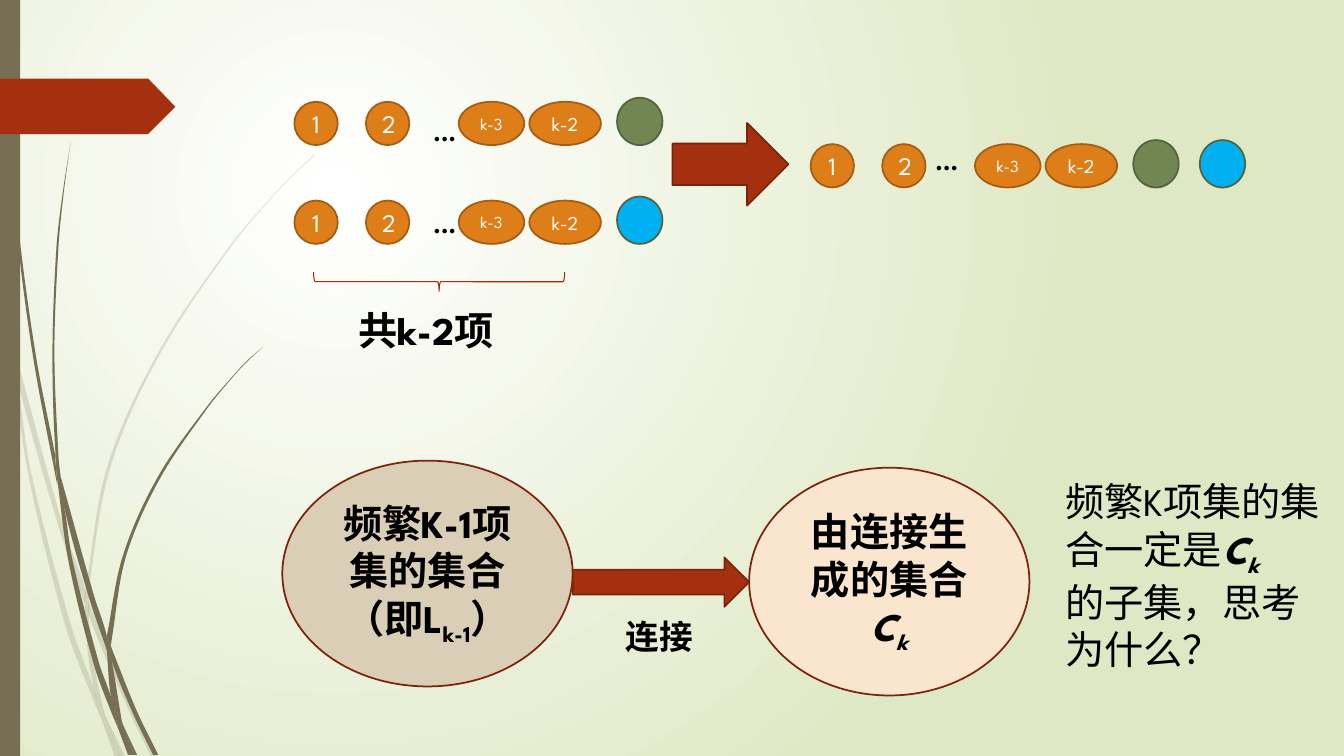
from math import atan2, degrees, hypot

from lxml import etree
from pptx import Presentation
from pptx.dml.color import RGBColor
from pptx.enum.shapes import MSO_SHAPE as SHAPE
from pptx.enum.text import MSO_ANCHOR as ANCHOR, MSO_AUTO_SIZE as AUTO, PP_ALIGN as ALIGN
from pptx.oxml.ns import qn
from pptx.util import Inches, Pt

FONT = "League Spartan"
COLORS = {
    "white": "FFFFFF", "black": "000000", "mist": "DFE8C4", "olive": "766F54",
    "rust": "A53010", "rust_line": "7A240C", "brace": "9E2E0F",
    "orange": "DE7E18", "orange_line": "A45D12",
    "green": "728653", "green_line": "54633D", "blue": "00B0F0",
    "peach": "FAE5CF", "tan": "DBCEB7",
}

# Closed outlines of the grass blades, in inches.
PALE_GRASS = [
    [(.11, 3.5), (.09, 3.22), (0, 2.82), (0, 2.99), (.1, 3.44)],
    [(.58, 5.22), (.84, 5.99), (.85, 5.86), (.62, 5.2), (.14, 3.45), (.17, 3.76)],
    [(.92, 6.07), (.88, 5.96), (.88, 6.1), (1.23, 6.94), (1.5, 7.51), (1.55, 7.51),
     (1.27, 6.92)],
    [(1.19, 7.51), (1.24, 7.51), (1.05, 7.11)],
    [(.93, 6.83), (.7, 6.19), (.31, 4.69), (.17, 3.76), (.11, 3.5), (.28, 4.7),
     (.65, 6.21), (.92, 6.93), (1.01, 7.14), (.99, 7.07)],
    [(.84, 5.99), (.87, 6.46), (.93, 6.83), (.96, 6.92), (1.05, 7.11), (1.03, 7.06),
     (.91, 6.46), (.88, 6.1), (.88, 6.08)],
    [(.88, 5.84), (1.1, 4.62), (1.6, 3.49), (2.29, 2.45), (2.68, 1.98), (2.9, 1.75),
     (3.12, 1.54), (3.12, 1.53), (2.89, 1.75), (2.68, 1.97), (2.28, 2.44),
     (1.58, 3.48), (1.07, 4.61), (.85, 5.84), (.85, 5.86), (.88, 5.96)],
    [(1.01, 7.14), (1.14, 7.51), (1.19, 7.51)],
    [(.88, 6.08), (.88, 6.1), (.88, 5.96), (.85, 5.86), (.84, 5.99)],
    [(.96, 6.92), (.93, 6.83), (.99, 7.07), (1.01, 7.14), (1.19, 7.51), (1.05, 7.11)],
]
DARK_GRASS = [
    [(.07, 1.1), (.17, 2.33), (.33, 3.55), (.56, 4.77), (.57, 4.81), (.55, 4.57),
     (.55, 4.53), (.36, 3.55), (.19, 2.32), (.08, 1.09), (.05, .48), (.04, 0),
     (.03, 0), (.04, .48)],
    [(.88, 5.92), (1.06, 6.45), (1.06, 6.31), (.93, 5.9), (.6, 4.72), (.64, 5.05)],
    [(1.13, 6.49), (1.1, 6.41), (1.11, 6.56), (1.32, 7.08), (1.52, 7.49), (1.57, 7.49),
     (1.36, 7.06)],
    [(1.1, 6.91), (.98, 6.57), (.72, 5.56), (.64, 5.05), (.57, 4.77), (.68, 5.57),
     (.93, 6.59), (1.11, 7.08), (1.17, 7.22), (1.16, 7.17)],
    [(.6, 4.72), (.58, 4.53), (.54, 3.49), (.58, 2.45), (.63, 1.93), (.7, 1.41),
     (.62, 1.93), (.56, 2.45), (.52, 3.49), (.55, 4.49)],
    [(1.33, 7.49), (1.36, 7.49), (1.22, 7.19)],
    [(.57, 4.77), (.64, 5.05), (.6, 4.72), (.55, 4.49), (.55, 4.53)],
    [(1.11, 6.33), (1.25, 5.52), (1.58, 4.76), (2.05, 4.06), (2.31, 3.74), (2.45, 3.59),
     (2.61, 3.44), (2.45, 3.58), (2.31, 3.73), (2.04, 4.05), (1.56, 4.74),
     (1.22, 5.51), (1.06, 6.31), (1.1, 6.41)],
    [(1.17, 7.22), (1.27, 7.49), (1.31, 7.49)],
    [(1.06, 6.45), (1.1, 6.91), (1.16, 7.06), (1.22, 7.19), (1.21, 7.16), (1.11, 6.56),
     (1.09, 6.51)],
    [(1.06, 6.45), (1.09, 6.51), (1.11, 6.56), (1.1, 6.41), (1.06, 6.31)],
    [(1.16, 7.06), (1.1, 6.91), (1.16, 7.17), (1.17, 7.22), (1.3, 7.49), (1.33, 7.49),
     (1.22, 7.19)],
]
BANNER = [(0, .78), (1.47, .78), (1.74, 1.06), (1.47, 1.33), (0, 1.33)]


def rgb(name):
    return RGBColor.from_string(COLORS[name])


def paint(sp, fill, line=None, weight=1.25):
    sp.shadow.inherit = False
    if fill:
        sp.fill.solid()
        sp.fill.fore_color.rgb = rgb(fill)
    else:
        sp.fill.background()
    if line:
        sp.line.color.rgb = rgb(line)
        sp.line.width = Pt(weight)
    else:
        sp.line.fill.background()


def add_shape(s, kind, box, fill, line=None, weight=1.25):
    sp = s.shapes.add_shape(kind, *map(Inches, box))
    paint(sp, fill, line, weight)
    return sp


def write(sp, paragraphs, size, color="black", bold=False, align=None):
    """Write paragraphs of (text, style) runs; style holds b, i and s (subscript)."""
    tf = sp.text_frame
    tf.word_wrap = True
    for n, runs in enumerate(paragraphs):
        p = tf.add_paragraph() if n else tf.paragraphs[0]
        p.alignment = align
        for text, style in runs:
            r = p.add_run()
            r.text = text
            f = r.font
            f.size, f.name, f.color.rgb = Pt(size), FONT, rgb(color)
            f.bold = bold or "b" in style
            f.italic = "i" in style
            if "s" in style:
                f._element.set("baseline", "-25000")
    return tf


def add_text(s, box, paragraphs, size, bold=True):
    tf = write(s.shapes.add_textbox(*map(Inches, box)), paragraphs, size, bold=bold)
    tf.auto_size = AUTO.SHAPE_TO_FIT_TEXT
    return tf


def tangent(a, b, c):
    """Unit direction of a smooth outline at b, or None at a corner."""
    turn = degrees(atan2(c[1] - b[1], c[0] - b[0]) - atan2(b[1] - a[1], b[0] - a[0]))
    if abs((turn + 180) % 360 - 180) > 30:
        return None
    dx, dy = c[0] - a[0], c[1] - a[1]
    return dx / hypot(dx, dy), dy / hypot(dx, dy)


def add_outline(shapes, points, fill, opacity=100):
    """Closed freeform whose sides bend smoothly between its corners."""
    pts = [(Inches(x), Inches(y)) for x, y in points]
    fb = shapes.build_freeform(*pts[0])
    fb.add_line_segments(pts[1:] + pts[:1])
    sp = fb.convert_to_shape()
    paint(sp, fill)
    if opacity < 100:
        clr = sp._element.spPr.find(".//" + qn("a:srgbClr"))
        etree.SubElement(clr, qn("a:alpha")).set("val", str(opacity * 1000))
    count = len(pts)
    tangents = [tangent(pts[n - 1], pts[n], pts[(n + 1) % count]) for n in range(count)]
    for n, side in enumerate(sp._element.findall(".//" + qn("a:lnTo"))[:count]):
        (x0, y0), (x1, y1) = pts[n], pts[(n + 1) % count]
        t0, t1 = tangents[n], tangents[(n + 1) % count]
        if not (t0 or t1):
            continue
        third = hypot(x1 - x0, y1 - y0) / 3
        chord = ((x1 - x0) / third / 3, (y1 - y0) / third / 3)
        (ax, ay), (bx, by) = t0 or chord, t1 or chord
        side.tag = qn("a:cubicBezTo")
        for k, (x, y) in enumerate([(x0 + ax * third, y0 + ay * third),
                                    (x1 - bx * third, y1 - by * third)]):
            pt = etree.Element(qn("a:pt"), x=str(round(x - sp.left)), y=str(round(y - sp.top)))
            side.insert(k, pt)


def backdrop(s, height):
    fill = s.background.fill
    fill.gradient()
    for stop, name in zip(fill.gradient_stops, ("white", "mist")):
        stop.color.rgb = rgb(name)
    lin = s.element.find(".//" + qn("a:lin"))
    radial = etree.Element(qn("a:path"), {"path": "circle"})
    etree.SubElement(radial, qn("a:fillToRect"),
                     dict(l="50000", t="50000", r="100000", b="100000"))
    lin.getparent().replace(lin, radial)
    for blades, opacity in ((PALE_GRASS, 20), (DARK_GRASS, 100)):
        group = s.shapes.add_group_shape()
        for points in blades:
            add_outline(group.shapes, points, "olive", opacity)
    add_shape(s, SHAPE.RECTANGLE, (0, 0, .2, height), "olive")
    add_outline(s.shapes, BANNER, "rust")


def item_row(s, x, y, tails):
    """Numbered items of one set, then its last items as plain circles."""
    items = [("1", 0, .43, 18), ("2", .71, .43, 18),
             ("k-3", 1.63, .65, 12), ("k-2", 2.33, .71, 14)]
    for label, dx, width, size in items:
        sp = add_shape(s, SHAPE.OVAL, (x + dx, y, width, .43), "orange", "orange_line")
        write(sp, [[(label, "")]], size, "white", align=ALIGN.CENTER)
    for n, color in enumerate(tails):
        add_shape(s, SHAPE.OVAL, (x + 3.2 + .66 * n, y - .04, .45, .47), color, "green_line")


def join_example(s, x, y):
    item_row(s, x, y, ["green"])
    item_row(s, x, y + .98, ["blue"])
    tf = add_text(s, (x + 1.28, y + .1, .51, 1.31), [[("...", "")]] * 2, 18)
    tf.paragraphs[1].space_before = Pt(44)
    brace = add_shape(s, SHAPE.RIGHT_BRACE, (x + 1.34, y + .54, .19, 2.49), None, "brace", .75)
    brace.rotation = 90
    add_text(s, (x + .54, y + 1.98, 1.79, .57), [[("共k-2项", "")]], 28)
    add_shape(s, SHAPE.RIGHT_ARROW, (x + 3.75, y + .21, 1.15, .82), "rust", "rust_line")
    item_row(s, x + 5.12, y + .42, ["green", "blue"])
    add_text(s, (x + 6.26, y + .38, .51, 1.31), [[("...", "")]], 18)


def join_flow(s, x, y):
    sets = [((x + 4.63, y + .07, 2.78, 2.26), "peach",
             [("由连接生成的集合", ""), ("C", "i"), ("k", "is")]),
            ((x, y, 2.88, 2.24), "tan",
             [("频繁K-1项集的集合（即L", ""), ("k-1", "s"), ("）", "")])]
    for box, fill, runs in sets:
        sp = add_shape(s, SHAPE.OVAL, box, fill, "rust_line")
        write(sp, [runs], 28, bold=True, align=ALIGN.CENTER).vertical_anchor = ANCHOR.MIDDLE
    add_shape(s, SHAPE.RIGHT_ARROW, (x + 2.88, y + .96, 1.75, .49), "rust", "rust_line")
    add_text(s, (x + 3.31, y + 1.49, 1.48, .5), [[("连接", "")]], 24)
    add_text(s, (x + 7.67, y + .12, 2.87, 1.98),
             [[("频繁K项集的集合一定是", ""), ("C", "bi"), ("k", "bis")],
              [("的子集，思考为什么？", "")]], 28, bold=False)


prs = Presentation()
prs.slide_width, prs.slide_height = Inches(13.33), Inches(7.5)
s = prs.slides.add_slide(prs.slide_layouts[6])
backdrop(s, 7.5)
join_example(s, 2.92, 1.01)
join_flow(s, 2.8, 4.57)
prs.save("out.pptx")
